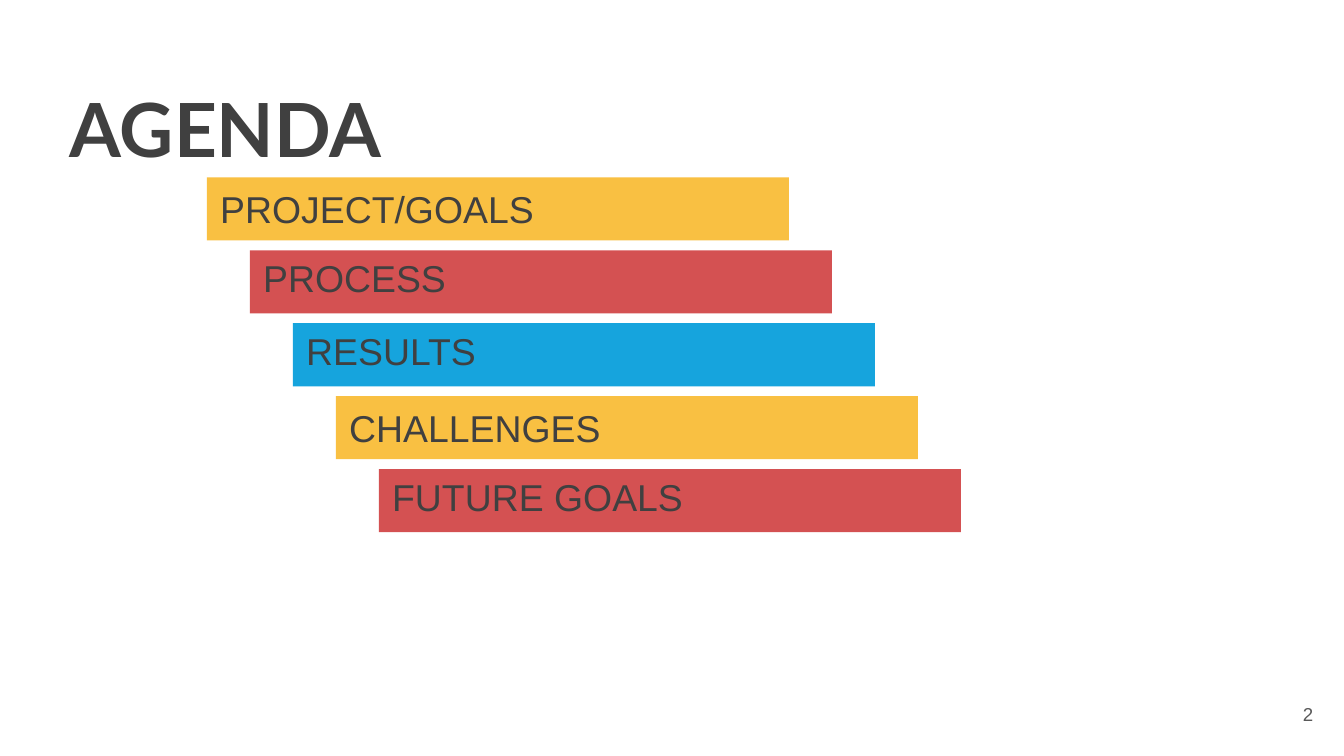
import pptx
import pptx.util
import pptx.dml.color
import pptx.enum.shapes
import pptx.enum.text

Inches = pptx.util.Inches
ALIGN = pptx.enum.text.PP_ALIGN
ANCHOR = pptx.enum.text.MSO_ANCHOR


def color(code):
    return pptx.dml.color.RGBColor.from_string(code)


def write(shape, text, size, font, ink, align=ALIGN.LEFT, anchor=ANCHOR.MIDDLE):
    frame = shape.text_frame
    frame.word_wrap = True
    frame.vertical_anchor = anchor
    frame.margin_left = frame.margin_right = Inches(0.1)
    frame.margin_top = frame.margin_bottom = Inches(0.1)
    para = frame.paragraphs[0]
    para.text = text
    para.alignment = align
    para.font.size = pptx.util.Pt(size)
    para.font.name = font
    para.font.color.rgb = color(ink)
    return para


# Widescreen page, 16:9
deck = pptx.Presentation()
deck.slide_width = Inches(10)
deck.slide_height = Inches(10 * 9 / 16)
slide = deck.slides.add_slide(deck.slide_layouts[6])
shapes = slide.shapes

# Title
title = shapes.add_textbox(Inches(0.42), Inches(0.52), Inches(4.01), Inches(0.63))
para = write(title, "AGENDA", 40, "Lato", "404040", anchor=ANCHOR.TOP)
para.font.bold = True

# Agenda bars, stepping down to the right
items = [
    ("PROJECT/GOALS", "F9C042", 1),
    ("PROCESS", "D45152", 0.8),
    ("RESULTS", "16A4DD", 0.8),
    ("CHALLENGES", "F9C042", 1),
    ("FUTURE GOALS", "D45152", 0.8),
]
first, last = 1.32, 3.49
step = (last - first) / (len(items) - 1)
for i, (text, fill, spacing) in enumerate(items):
    bar = shapes.add_shape(
        pptx.enum.shapes.MSO_SHAPE.RECTANGLE,
        Inches(1.54 + 0.32 * i), Inches(first + step * i),
        Inches(4.33), Inches(0.47))
    bar.shadow.inherit = False
    bar.fill.solid()
    bar.fill.fore_color.rgb = color(fill)
    bar.line.fill.background()
    para = write(bar, text, 20, "Arial", "404040")
    para.line_spacing = spacing

# Page number
number = shapes.add_textbox(Inches(9.27), Inches(5.1), Inches(0.6), Inches(0.43))
write(number, "2", 10, "Arial", "595959", align=ALIGN.RIGHT)

deck.save("out.pptx")
